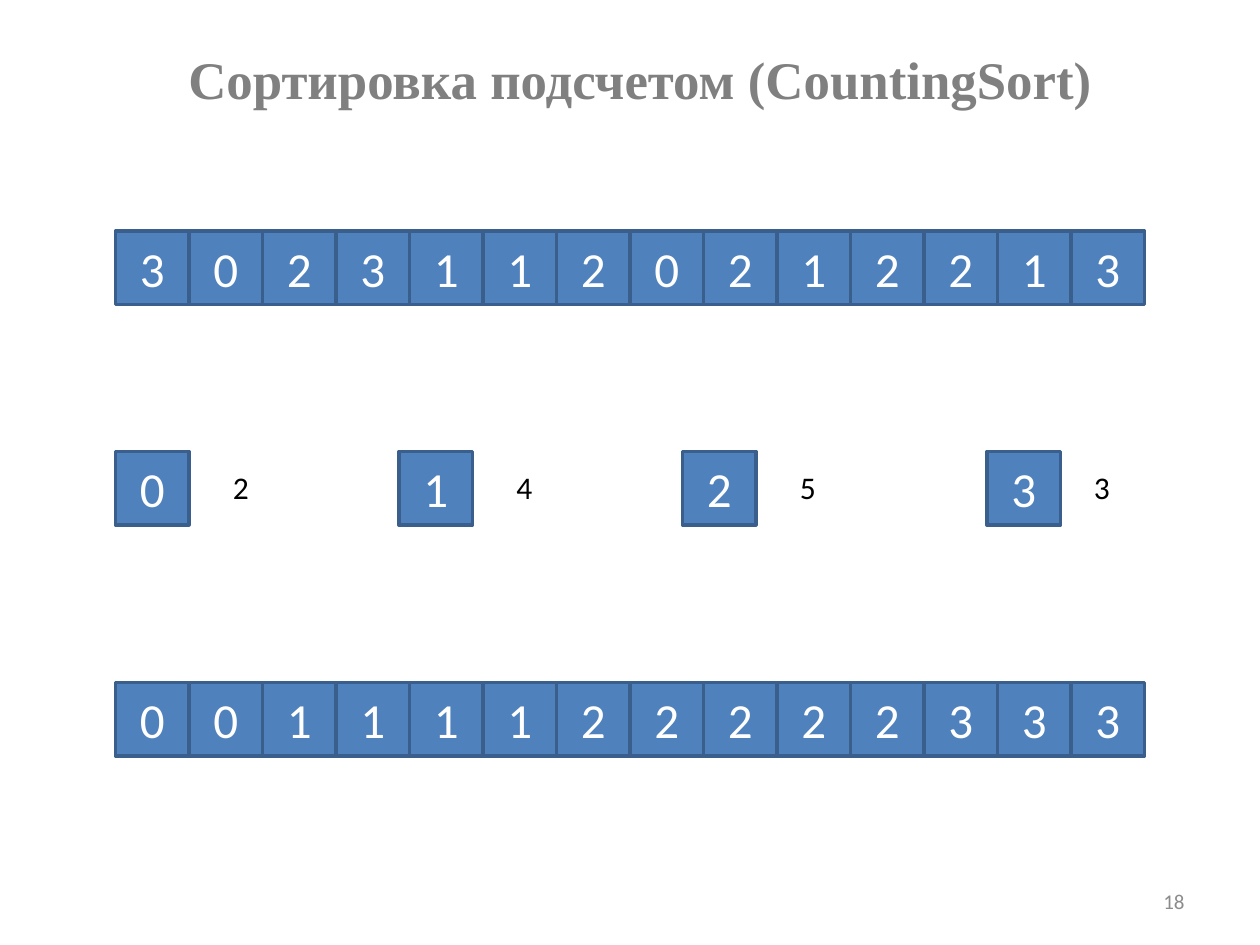
import pptx
import pptx.dml.color
import pptx.enum.shapes
import pptx.enum.text
import pptx.util

TITLE = "Сортировка подсчетом (CountingSort)"
SLIDE_NUMBER = "18"
VALUES = [3, 0, 2, 3, 1, 1, 2, 0, 2, 1, 2, 2, 1, 3]

# Lengths in pixels, 126 to the inch
SCALE = 914400 / 126
ROW_LEFT, ROW_WIDTH = 115.5, 1029
CELL = ROW_WIDTH / len(VALUES)
INPUT_TOP, COUNTS_TOP, SORTED_TOP = 231, 451.5, 682.5
# Left edges of each key cell and of its count
COUNT_COLUMNS = [(115.5, 220.5), (399, 504), (682.5, 787.5), (987, 1081.5)]

ALIGN = pptx.enum.text.PP_ALIGN
ANCHOR = pptx.enum.text.MSO_ANCHOR


def px(length):
    """Turn pixels into EMU."""
    return pptx.util.Emu(round(length * SCALE))


def color(hex_value):
    """Turn a hex string into a colour."""
    return pptx.dml.color.RGBColor.from_string(hex_value)


def write(shape, text, size, hex_value, align, anchor, font="Calibri", bold=False):
    """Put one formatted paragraph into a shape and return it."""
    frame = shape.text_frame
    frame.text = str(text)
    frame.vertical_anchor = anchor
    paragraph = frame.paragraphs[0]
    paragraph.alignment = align
    paragraph.font.name = font
    paragraph.font.size = pptx.util.Pt(size)
    paragraph.font.bold = bold
    paragraph.font.color.rgb = color(hex_value)
    return paragraph


def add_cell(slide, left, top, value):
    """Draw one square array cell."""
    cell = slide.shapes.add_shape(
        pptx.enum.shapes.MSO_SHAPE.RECTANGLE, px(left), px(top), px(CELL), px(CELL))
    cell.shadow.inherit = False
    cell.fill.solid()
    cell.fill.fore_color.rgb = color("4F81BD")
    cell.line.color.rgb = color("3A5F8C")
    cell.line.width = pptx.util.Pt(2)
    write(cell, value, 28, "FFFFFF", ALIGN.CENTER, ANCHOR.MIDDLE)


def add_row(slide, top, values):
    """Draw an array as adjoining cells."""
    for index, value in enumerate(values):
        add_cell(slide, ROW_LEFT + index * CELL, top, value)


def add_label(slide, box, text, size, hex_value, align, anchor):
    """Add a plain text box."""
    label = slide.shapes.add_textbox(*map(px, box))
    write(label, text, size, hex_value, align, anchor)


deck = pptx.Presentation()
deck.slide_width, deck.slide_height = px(1260), px(945)
slide = deck.slides.add_slide(deck.slide_layouts[5])

title = slide.shapes.title
title.left, title.top, title.width, title.height = map(px, (126, 53, 1029, 73))
heading = write(title, TITLE, 30.2, "808080", ALIGN.CENTER, ANCHOR.TOP,
                font="Times New Roman", bold=True)
heading.line_spacing = 0.8
heading.space_before = pptx.util.Pt(3)
title.text_frame.word_wrap = True
title.text_frame.auto_size = pptx.enum.text.MSO_AUTO_SIZE.NONE

add_label(slide, (903, 876, 294, 50), SLIDE_NUMBER, 12, "8C8C8C",
          ALIGN.RIGHT, ANCHOR.MIDDLE)

add_row(slide, INPUT_TOP, VALUES)
for key, (key_left, count_left) in enumerate(COUNT_COLUMNS):
    add_cell(slide, key_left, COUNTS_TOP, key)
    add_label(slide, (count_left, 462, 42, 50), VALUES.count(key), 18, "000000",
              ALIGN.LEFT, ANCHOR.TOP)
add_row(slide, SORTED_TOP, sorted(VALUES))

deck.save("out.pptx")
